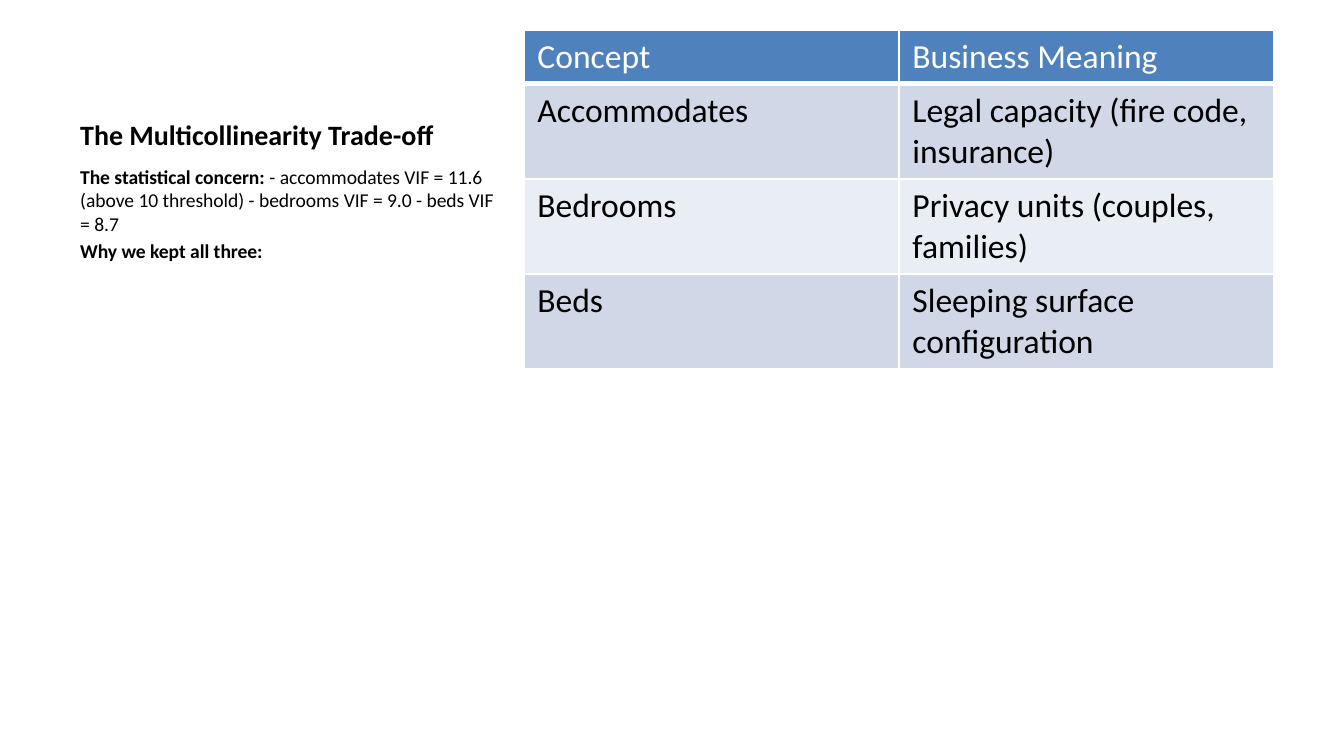
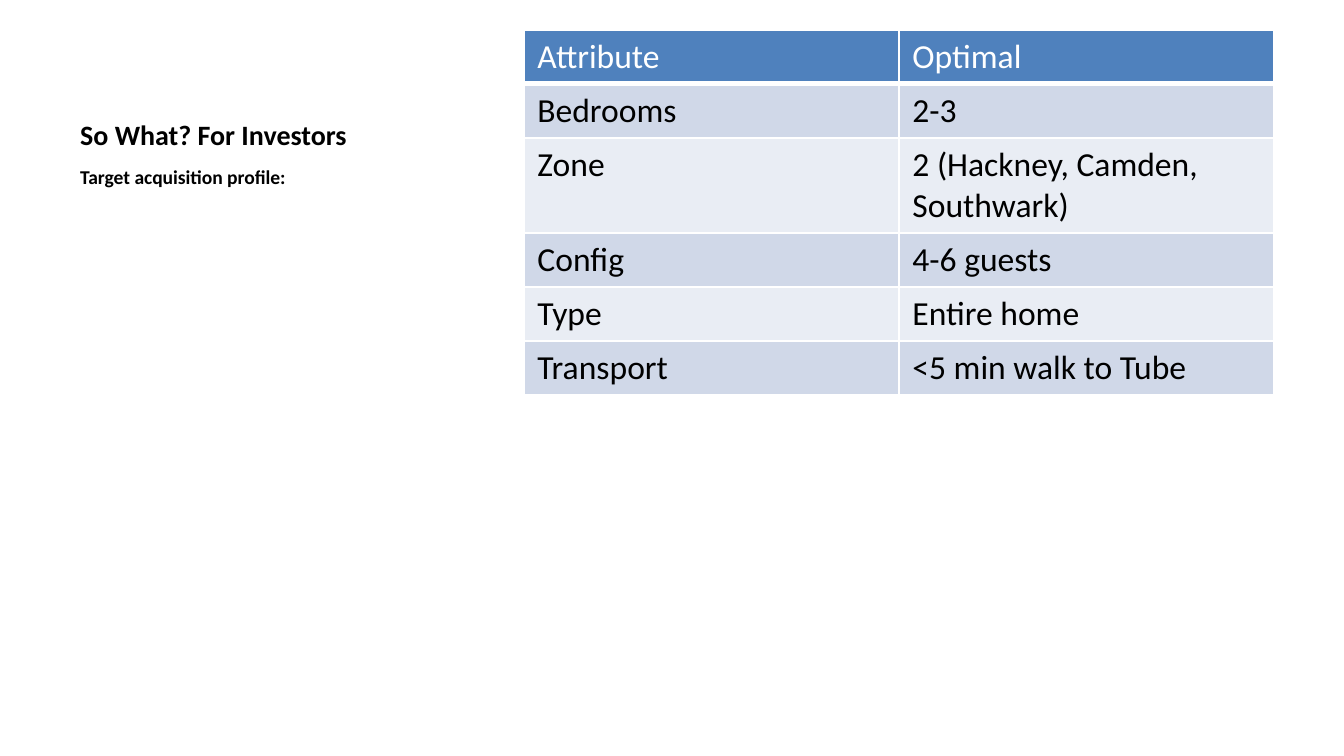
from math import ceil

from lxml import etree
from pptx import Presentation
from pptx.dml.color import RGBColor
from pptx.enum.text import MSO_ANCHOR
from pptx.oxml.ns import qn
from pptx.util import Emu, Pt

ANCHOR_TOP = MSO_ANCHOR.TOP
ANCHOR_BOTTOM = MSO_ANCHOR.BOTTOM

# Each paragraph is a list of (text, bold) runs; the first table row is the header.
SLIDES = [
    {
        "title": "The Multicollinearity Trade-off",
        "body": [
            [
                ("The statistical concern:", True),
                (" - accommodates VIF = 11.6 (above 10 threshold)"
                 " - bedrooms VIF = 9.0 - beds VIF = 8.7", False),
            ],
            [("Why we kept all three:", True)],
        ],
        "table": [
            ("Concept", "Business Meaning"),
            ("Accommodates", "Legal capacity (fire code, insurance)"),
            ("Bedrooms", "Privacy units (couples, families)"),
            ("Beds", "Sleeping surface configuration"),
        ],
    },
    {
        "title": "So What? For Investors",
        "body": [[("Target acquisition profile:", True)]],
        "table": [
            ("Attribute", "Optimal"),
            ("Bedrooms", "2-3"),
            ("Zone", "2 (Hackney, Camden, Southwark)"),
            ("Config", "4-6 guests"),
            ("Type", "Entire home"),
            ("Transport", "<5 min walk to Tube"),
        ],
    },
]

COLORS = {
    "text": "000000",
    "white": "FFFFFF",
    "header": "4F81BD",
    "odd_row": "D0D8E8",
    "even_row": "E9EDF4",
}
FONT = "Calibri"
TITLE_SIZE, BODY_SIZE, TABLE_SIZE = 15, 10.5, 18
PARAGRAPH_GAP = 2

EMU_PER_PX = 914400 / 134.4
SLIDE_SIZE = (1344, 756)
TITLE_BOX = (67, 30, 442, 128)
BODY_BOX = (67, 158, 442, 517)
TABLE_LEFT, TABLE_TOP, TABLE_WIDTH = 524, 30, 750
ROW_HEIGHT, EXTRA_LINE_HEIGHT = 54, 41
CHARACTERS_PER_LINE = 25


def px(length):
    return Emu(round(length * EMU_PER_PX))


def add_run(paragraph, text, size, color="text", bold=False):
    run = paragraph.add_run()
    run.text = text
    run.font.name = FONT
    run.font.size = Pt(size)
    run.font.bold = bold
    run.font.color.rgb = RGBColor.from_string(COLORS[color])


def add_text(slide, box, paragraphs, size, anchor=ANCHOR_TOP):
    frame = slide.shapes.add_textbox(*map(px, box)).text_frame
    frame.word_wrap = True
    frame.vertical_anchor = anchor
    for index, runs in enumerate(paragraphs):
        paragraph = frame.add_paragraph() if index else frame.paragraphs[0]
        if index:
            paragraph.space_before = Pt(PARAGRAPH_GAP)
        for text, bold in runs:
            add_run(paragraph, text, size, bold=bold)


def add_borders(cell, bottom_width):
    properties = cell._tc.get_or_add_tcPr()
    for side, width in (("L", 1), ("R", 1), ("T", 1), ("B", bottom_width)):
        line = etree.SubElement(properties, qn(f"a:ln{side}"), w=str(Pt(width)))
        fill = etree.SubElement(line, qn("a:solidFill"))
        etree.SubElement(fill, qn("a:srgbClr"), val=COLORS["white"])


def add_table(slide, rows):
    heights = [
        ROW_HEIGHT + EXTRA_LINE_HEIGHT * (ceil(max(map(len, row)) / CHARACTERS_PER_LINE) - 1)
        for row in rows
    ]
    table = slide.shapes.add_table(
        len(rows), len(rows[0]),
        px(TABLE_LEFT), px(TABLE_TOP), px(TABLE_WIDTH), px(sum(heights)),
    ).table
    for row_index, row in enumerate(rows):
        table.rows[row_index].height = px(heights[row_index])
        is_header = row_index == 0
        band = "header" if is_header else "odd_row" if row_index % 2 else "even_row"
        for column_index, text in enumerate(row):
            cell = table.cell(row_index, column_index)
            add_borders(cell, bottom_width=3 if is_header else 1)
            cell.fill.solid()
            cell.fill.fore_color.rgb = RGBColor.from_string(COLORS[band])
            add_run(cell.text_frame.paragraphs[0], text, TABLE_SIZE,
                    "white" if is_header else "text")


def main():
    presentation = Presentation()
    presentation.slide_width, presentation.slide_height = map(px, SLIDE_SIZE)
    blank_layout = presentation.slide_layouts[6]
    for content in SLIDES:
        slide = presentation.slides.add_slide(blank_layout)
        add_text(slide, TITLE_BOX, [[(content["title"], True)]], TITLE_SIZE, ANCHOR_BOTTOM)
        add_text(slide, BODY_BOX, content["body"], BODY_SIZE)
        add_table(slide, content["table"])
    presentation.save("out.pptx")


if __name__ == "__main__":
    main()
